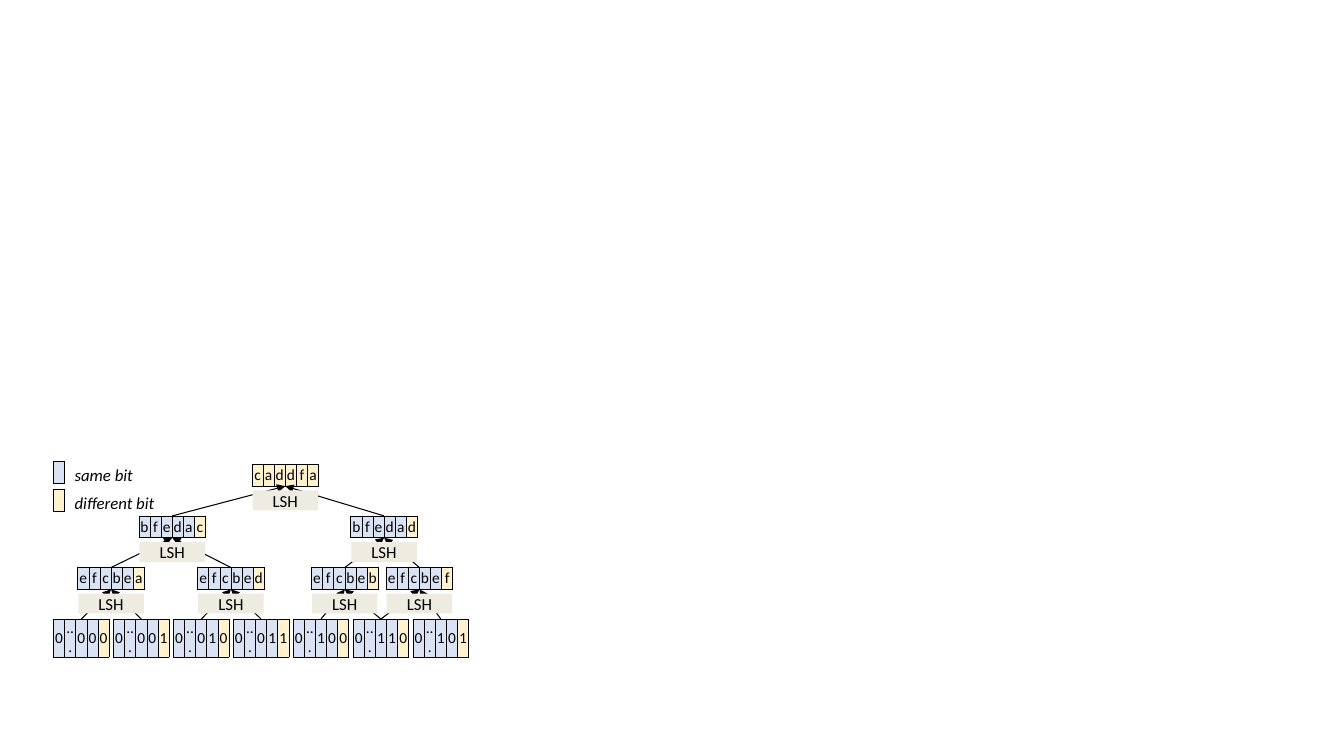
from lxml import etree
from pptx import Presentation
from pptx.dml.color import RGBColor
from pptx.enum.shapes import MSO_CONNECTOR, MSO_SHAPE
from pptx.enum.text import MSO_ANCHOR, PP_ALIGN
from pptx.oxml.ns import qn
from pptx.util import Cm, Pt

STRAIGHT, RECTANGLE = MSO_CONNECTOR.STRAIGHT, MSO_SHAPE.RECTANGLE
MIDDLE, CENTER, LEFT = MSO_ANCHOR.MIDDLE, PP_ALIGN.CENTER, PP_ALIGN.LEFT
TOP_SIDE, BOTTOM_SIDE = 0, 2
BLACK = RGBColor(0x00, 0x00, 0x00)
SAME = RGBColor(0xDA, 0xE3, 0xF3)
DIFFERENT = RGBColor(0xFF, 0xF2, 0xCC)
HASH_FILL = RGBColor(0xEE, 0xEC, 0xE1)

LEAVES = ["0 ... 0 0 0", "0 ... 0 0 1", "0 ... 0 1 0", "0 ... 0 1 1",
          "0 ... 1 0 0", "0 ... 1 1 0", "0 ... 1 0 1"]
# Each code: letters, centre in cm, children in the level below, differing letters
CODE_LEVELS = [
    [("e f c b e a", 2.8, (0, 1), 1), ("e f c b e d", 5.82, (2, 3), 1),
     ("e f c b e b", 8.69, (4, 5), 1), ("e f c b e f", 10.57, (6, 5), 1)],
    [("b f e d a c", 4.34, (0, 1), 1), ("b f e d a d", 9.68, (2, 3), 1)],
    [("c a d d f a", 7.19, (0, 1), 6)],
]
LEGEND = [("same bit", SAME, 2.0), ("different bit", DIFFERENT, 2.67)]

MARGIN = 1.35
CELL_WIDTH, CELL_HEIGHT = 0.28, 0.55
LEAF_TOP, LEAF_PITCH, LEVEL_PITCH = 15.6, 1.51, 1.3
HASH_WIDTH, HASH_HEIGHT, HASH_DROP = 1.65, 0.5, 0.66
LEGEND_TOP, LEGEND_PITCH, LABEL_TOP, LABEL_HEIGHT = 11.63, 0.7, 11.33, 0.94


def write(frame, text, size=12, align=CENTER, italic=False, spacing=None):
    """Put one formatted line of text into a text frame."""
    paragraph = frame.paragraphs[0]
    paragraph.alignment = align
    if spacing:
        paragraph.line_spacing = spacing
    if not text:
        etree.SubElement(paragraph._p, qn("a:endParaRPr"), sz=str(size * 100))
        return
    run = paragraph.add_run()
    run.text = text
    run.font.name, run.font.size = "Calibri", Pt(size)
    run.font.italic = italic
    run.font.color.rgb = BLACK


def add_border(cell):
    """Draw a thin black line on all four sides of a cell."""
    properties = cell._tc.get_or_add_tcPr()
    for side in ("lnL", "lnR", "lnT", "lnB"):
        line = etree.SubElement(properties, qn(f"a:{side}"), w=str(Pt(0.5)))
        fill = etree.SubElement(line, qn("a:solidFill"))
        etree.SubElement(fill, qn("a:srgbClr"), val=str(BLACK))


def add_code(slide, symbols, colours, left, top):
    """Add a one-row table with a cell per symbol."""
    frame = slide.shapes.add_table(1, len(symbols), Cm(left), Cm(top),
                                   Cm(CELL_WIDTH * len(symbols)), Cm(CELL_HEIGHT))
    frame.table.first_row = frame.table.horz_banding = False
    for cell, symbol, colour in zip(frame.table.iter_cells(), symbols, colours):
        cell.margin_left = cell.margin_right = cell.margin_top = cell.margin_bottom = 0
        cell.vertical_anchor = MIDDLE
        add_border(cell)
        cell.fill.solid()
        cell.fill.fore_color.rgb = colour
        write(cell.text_frame, symbol, size=11)
    return frame


def add_arrow(slide, child, parent):
    """Join the top of a child code to the bottom of its parent."""
    arrow = slide.shapes.add_connector(STRAIGHT, 0, 0, 0, 0)
    arrow.begin_connect(child, TOP_SIDE)
    arrow.end_connect(parent, BOTTOM_SIDE)
    arrow.line.color.rgb = BLACK
    arrow.line.width = Pt(0.75)
    etree.SubElement(arrow.line._get_or_add_ln(), qn("a:tailEnd"), type="triangle")
    etree.SubElement(arrow._element.spPr, qn("a:effectLst"))


def add_hash(slide, centre, top):
    """Add an LSH box over the arrows that meet below a code."""
    box = slide.shapes.add_shape(RECTANGLE, Cm(centre - HASH_WIDTH / 2), Cm(top),
                                 Cm(HASH_WIDTH), Cm(HASH_HEIGHT))
    box.shadow.inherit = False
    box.fill.solid()
    box.fill.fore_color.rgb = HASH_FILL
    box.line.fill.background()
    box.text_frame.margin_top = box.text_frame.margin_bottom = 0
    box.text_frame.vertical_anchor = MIDDLE
    write(box.text_frame, "LSH")


def add_tree(slide):
    """Build the hash tree from the leaves up to the root."""
    below = []
    for index, leaf in enumerate(LEAVES):
        bits = leaf.split()
        colours = [SAME] * (len(bits) - 1) + [DIFFERENT]
        below.append(add_code(slide, bits, colours, MARGIN + index * LEAF_PITCH, LEAF_TOP))
    links, hashes = [], []
    for height, level in enumerate(CODE_LEVELS, 1):
        top = LEAF_TOP - height * LEVEL_PITCH
        codes = []
        for code, centre, children, differing in level:
            letters = code.split()
            count = len(letters)
            colours = [SAME] * (count - differing) + [DIFFERENT] * differing
            parent = add_code(slide, letters, colours, centre - count * CELL_WIDTH / 2, top)
            codes.append(parent)
            links += [(below[child], parent) for child in children]
            hashes.append((centre, top + HASH_DROP))
        below = codes
    for child, parent in links:
        add_arrow(slide, child, parent)
    for centre, top in hashes:
        add_hash(slide, centre, top)


def add_legend(slide):
    """Add the colour key beside the root."""
    for index, (label, colour, width) in enumerate(LEGEND):
        drop = index * LEGEND_PITCH
        add_code(slide, [""], [colour], MARGIN, LEGEND_TOP + drop)
        box = slide.shapes.add_textbox(Cm(MARGIN + CELL_WIDTH), Cm(LABEL_TOP + drop),
                                       Cm(width), Cm(LABEL_HEIGHT))
        box.text_frame.word_wrap = True
        write(box.text_frame, label, align=LEFT, italic=True, spacing=1.5)


def main():
    """Build and save the slide."""
    deck = Presentation()
    deck.slide_width, deck.slide_height = Cm(33.87), Cm(19.05)
    slide = deck.slides.add_slide(deck.slide_layouts[6])
    add_tree(slide)
    add_legend(slide)
    deck.save("out.pptx")


if __name__ == "__main__":
    main()
